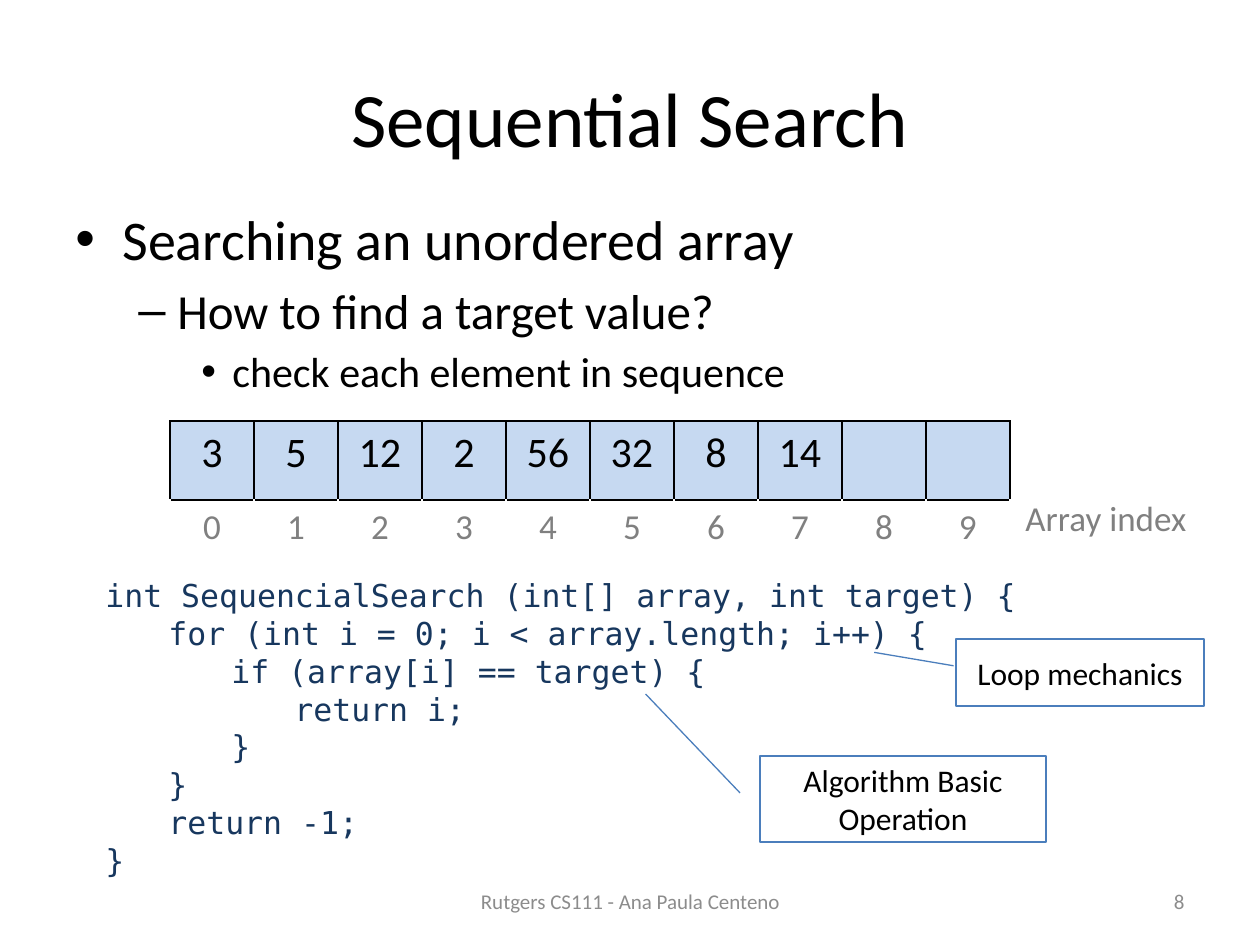
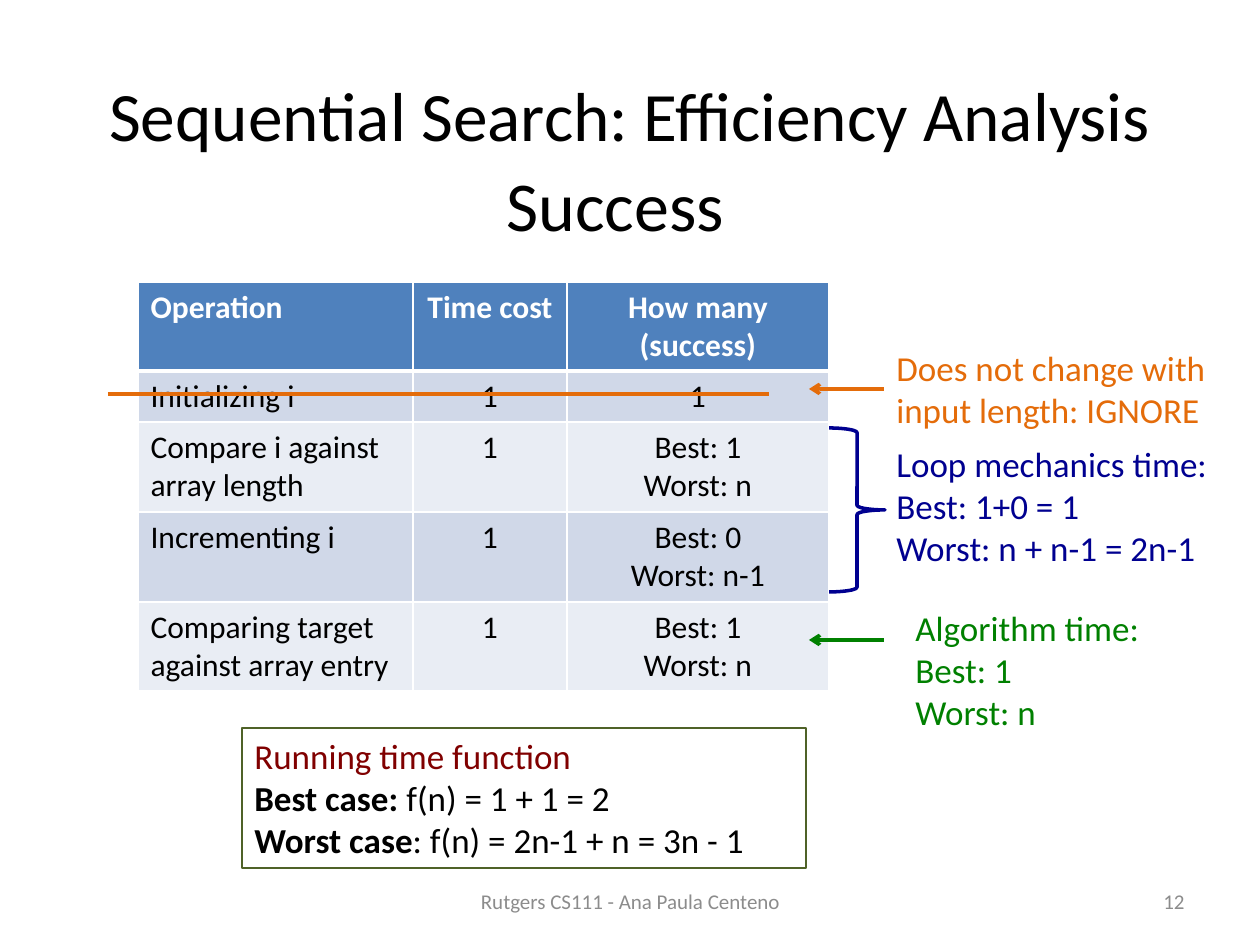
"""Build two slides on sequential search and its efficiency."""
import pptx
import pptx.chart.data
import pptx.dml.color
import pptx.enum.shapes
import pptx.enum.text
import pptx.oxml
import pptx.oxml.ns
import pptx.util

PX = 914400 / 126
SANS, MONO = "Calibri", "DejaVu Sans Mono"
BLACK, WHITE, GRAY, FOOTER_GRAY = "000000", "FFFFFF", "808080", "8C8C8C"
CODE_BLUE, CALLOUT_BLUE, CELL_BLUE = "17375E", "4B7EBC", "C6D9F1"
HEADER_BLUE, BANDS = "4F81BD", ("D0D8E8", "E9EDF4")
ORANGE, NAVY, GREEN, MAROON, OLIVE = "E46C0A", "000090", "008000", "800000", "4F6228"
ALIGN = pptx.enum.text.PP_ALIGN
ANCHOR = pptx.enum.text.MSO_ANCHOR
SHAPE = pptx.enum.shapes.MSO_SHAPE

FOOTER = "Rutgers CS111 - Ana Paula Centeno"
OUTLINE = [
    ("Searching an unordered array", "•", 32, 47, 47, 0),
    ("How to find a target value?", "–", 28, 102, 39, 5),
    ("check each element in sequence", "•", 24, 157, 31, 4),
]
ARRAY_VALUES = ["3", "5", "12", "2", "56", "32", "8", "14", "", ""]
TAB_STOPS = (63, 126, 189)
CODE = [
    "int SequencialSearch (int[] array, int target) {",
    "\tfor (int i = 0; i < array.length; i++) {",
    "\t\tif (array[i] == target) {",
    "\t\t\treturn i;",
    "\t\t}",
    "\t}",
    "\treturn -1;",
    "}",
]
CALLOUTS = [
    ("Algorithm Basic Operation", (760, 756, 286, 86), (0.43, -0.07, -0.72, -0.4)),
    ("Loop mechanics", (956, 639, 248, 67), (0.4, -0.01, 0.2, -0.33)),
]

COST_COLUMNS = (275, 154, 262)
COST_ROWS = (89, 51, 90, 90, 89)
COSTS = [
    ("Operation", "Time cost", "How many (success)"),
    ("Initializing i", "1", "1"),
    ("Compare i against array length", "1", "Best: 1\nWorst: n"),
    ("Incrementing i", "1", "Best: 0\nWorst: n-1"),
    ("Comparing target against array entry", "1", "Best: 1\nWorst: n"),
]
REMARKS = [
    (["Does not change with input length: IGNORE"], (884, 340, 353, 97), ORANGE),
    (["Loop mechanics time:", "Best: 1+0 = 1", "Worst: n + n-1 = 2n-1"], (884, 436, 353, 140), NAVY),
    (["Algorithm time:", "Best: 1", "Worst: n"], (903, 600, 251, 140), GREEN),
]
LINES = [
    ((884, 389), (809, 389), ORANGE, True),
    ((108, 394), (769, 394), ORANGE, False),
    ((884, 640), (809, 640), GREEN, True),
]
RUNNING_TIME = [
    ("", "Running time function", MAROON),
    ("Best case: ", "f(n) = 1 + 1 = 2", BLACK),
    ("Worst case", ": f(n) = 2n-1 + n = 3n - 1", BLACK),
]


def px(*lengths):
    return [pptx.util.Emu(round(length * PX)) for length in lengths]


def rgb(code):
    return pptx.dml.color.RGBColor.from_string(code)


def element(parent, tag, **attributes):
    child = pptx.oxml.parse_xml(f"<{tag} {pptx.oxml.ns.nsdecls('a')}/>")
    for name, value in attributes.items():
        child.set(name, str(value))
    parent.append(child)
    return child


def style(para, size, color=BLACK, align=ALIGN.LEFT, font=SANS, bold=False):
    para.alignment = align
    para.font.name = font
    para.font.size = pptx.util.Pt(size)
    para.font.bold = bold
    para.font.color.rgb = rgb(color)


def paragraphs(frame, count):
    return [frame.paragraphs[0]] + [frame.add_paragraph() for _ in range(count - 1)]


def write(frame, lines, size, color=BLACK, align=ALIGN.LEFT, bold=False):
    for para, line in zip(paragraphs(frame, len(lines)), lines):
        para.text = line
        style(para, size, color, align, bold=bold)


def text_frame(page, area, anchor=ANCHOR.TOP, wrap=True):
    frame = page.shapes.add_textbox(*px(*area)).text_frame
    frame.word_wrap = wrap
    frame.vertical_anchor = anchor
    return frame


def add_outlined(page, kind, area, color, width):
    shape = page.shapes.add_shape(kind, *px(*area))
    shape.shadow.inherit = False
    shape.fill.background()
    shape.line.color.rgb = rgb(color)
    shape.line.width = pptx.util.Pt(width)
    shape.text_frame.word_wrap = True
    return shape


def add_line(page, start, end, color, arrow):
    line = page.shapes.add_connector(pptx.enum.shapes.MSO_CONNECTOR.STRAIGHT, *px(*start, *end))
    line.line.color.rgb = rgb(color)
    line.line.width = pptx.util.Pt(2)
    properties = line._element.spPr
    if arrow:
        element(properties.find(pptx.oxml.ns.qn("a:ln")), "a:tailEnd", type="arrow")
    element(properties, "a:effectLst")


def add_table(page, left, top, columns, rows):
    area = px(left, top, sum(columns), sum(rows))
    table = page.shapes.add_table(len(rows), len(columns), *area).table
    table.first_row = table.horz_banding = False
    for column, width in zip(table.columns, px(*columns)):
        column.width = width
    for row, height in zip(table.rows, px(*rows)):
        row.height = height
    return table


def fill_cell(cell, fill, border, sides="LRTB", thick=""):
    properties = cell._tc.get_or_add_tcPr()
    for side in sides:
        width = pptx.util.Pt(3 if side in thick else 1)
        line = element(properties, f"a:ln{side}", w=width)
        element(element(line, "a:solidFill"), "a:srgbClr", val=border)
    if fill:
        cell.fill.solid()
        cell.fill.fore_color.rgb = rgb(fill)
    else:
        cell.fill.background()


def add_page(deck, title, title_top, title_size, number):
    page = deck.slides.add_slide(deck.slide_layouts[6])
    for text, area, size, color, align in (
        (title, (63, title_top, 1134, 158), title_size, BLACK, ALIGN.CENTER),
        (FOOTER, (431, 876, 399, 50), 12, FOOTER_GRAY, ALIGN.CENTER),
        (number, (903, 876, 294, 50), 12, FOOTER_GRAY, ALIGN.RIGHT),
    ):
        write(text_frame(page, area, ANCHOR.MIDDLE), [text], size, color, align)
    return page


def add_outline(page):
    frame = text_frame(page, (63, 198, 1134, 236))
    for para, item in zip(paragraphs(frame, len(OUTLINE)), OUTLINE):
        text, bullet, size, margin, hanging, before = item
        para.text = text
        properties = para._p.get_or_add_pPr()
        properties.set("marL", str(px(margin)[0]))
        properties.set("indent", str(px(-hanging)[0]))
        element(properties, "a:buFont", typeface="Arial")
        element(properties, "a:buChar", char=bullet)
        if before:
            para.space_before = pptx.util.Pt(before)
        style(para, size)


def add_code(page):
    frame = text_frame(page, (93, 570, 960, 318), wrap=False)
    for para, line in zip(paragraphs(frame, len(CODE)), CODE):
        para.text = line
        tabs = element(para._p.get_or_add_pPr(), "a:tabLst")
        for stop in px(*TAB_STOPS):
            element(tabs, "a:tab", pos=stop, algn="l")
        style(para, 18, CODE_BLUE, font=MONO)


def build_search(deck):
    page = add_page(deck, "Sequential Search", 38, 44, "8")
    add_outline(page)
    table = add_table(page, 170, 421, [84] * len(ARRAY_VALUES), [79, 79])
    for index, value in enumerate(ARRAY_VALUES):
        value_cell, index_cell = table.cell(0, index), table.cell(1, index)
        fill_cell(value_cell, CELL_BLUE, BLACK)
        fill_cell(index_cell, None, BLACK, "T")
        write(value_cell.text_frame, [value], 24, align=ALIGN.CENTER)
        write(index_cell.text_frame, [str(index)], 20, GRAY, ALIGN.CENTER)
    write(text_frame(page, (1013, 490, 200, 55)), ["Array index"], 20, GRAY)
    add_code(page)
    for text, area, pointer in CALLOUTS:
        callout = add_outlined(page, SHAPE.LINE_CALLOUT_1, area, CALLOUT_BLUE, 0.75)
        for position, value in enumerate(pointer):
            callout.adjustments[position] = value
        callout.text_frame.vertical_anchor = ANCHOR.MIDDLE
        write(callout.text_frame, [text], 18, align=ALIGN.CENTER)


def build_analysis(deck):
    page = add_page(deck, "Sequential Search: Efficiency Analysis", 35, 39.6, "12")
    write(text_frame(page, (494, 155, 455, 111)), ["Success"], 40)
    result = add_outlined(page, SHAPE.RECTANGLE, (242, 728, 564, 140), OLIVE, 0.75).text_frame
    result.vertical_anchor = ANCHOR.TOP
    for para, (label, formula, color) in zip(paragraphs(result, len(RUNNING_TIME)), RUNNING_TIME):
        if label:
            para.add_run().text = label
            para.runs[0].font.bold = True
        para.add_run().text = formula
        style(para, 20, color)
    table = add_table(page, 138, 282, COST_COLUMNS, COST_ROWS)
    for row, texts in enumerate(COSTS):
        header = row == 0
        for column, text in enumerate(texts):
            cell = table.cell(row, column)
            fill = HEADER_BLUE if header else BANDS[(row - 1) % 2]
            fill_cell(cell, fill, WHITE, thick="B" if header else "T" if row == 1 else "")
            align = ALIGN.CENTER if column else ALIGN.LEFT
            write(cell.text_frame, text.split("\n"), 18, WHITE if header else BLACK, align, header)
    for lines, area, color in REMARKS:
        write(text_frame(page, area), lines, 20, color)
    for line in LINES:
        add_line(page, *line)
    add_outlined(page, SHAPE.RIGHT_BRACE, (829, 428, 56, 164), NAVY, 2)


def main():
    deck = pptx.Presentation()
    deck.slide_width, deck.slide_height = px(1260, 945)
    build_search(deck)
    build_analysis(deck)
    deck.save("out.pptx")


if __name__ == "__main__":
    main()
